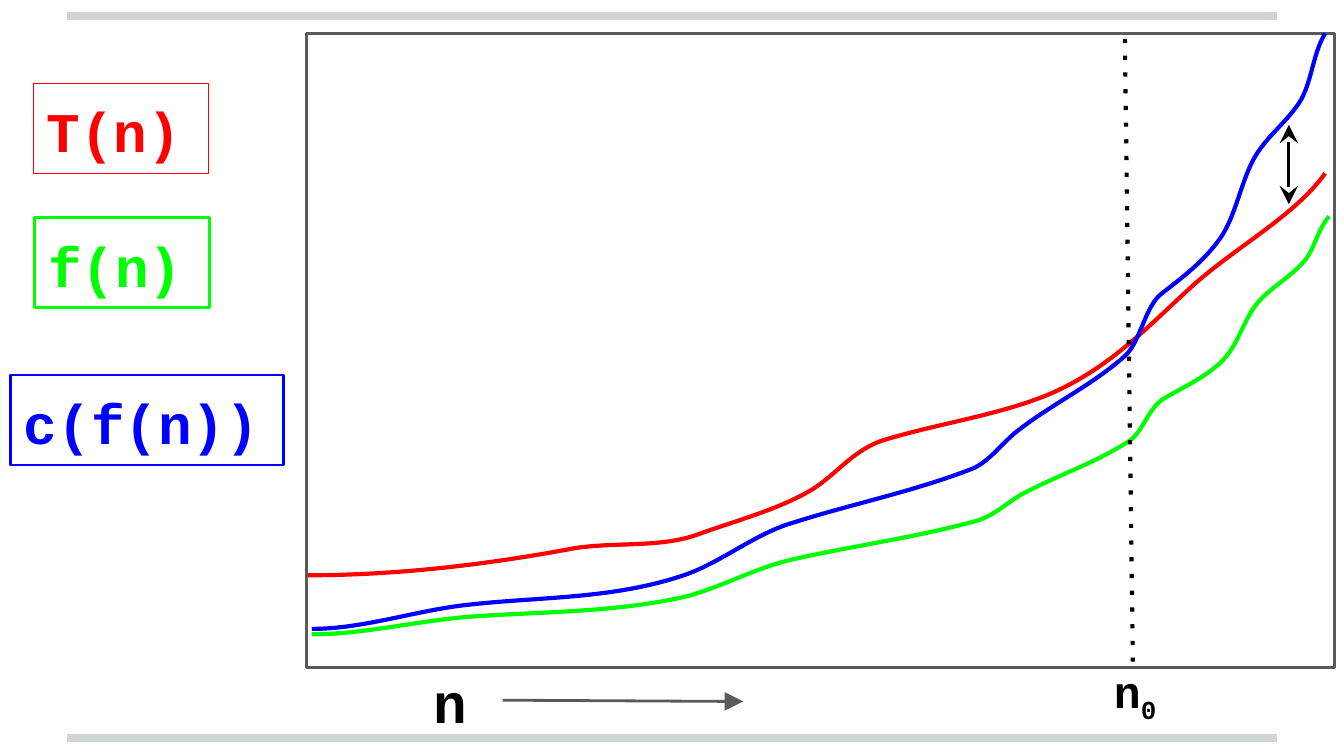
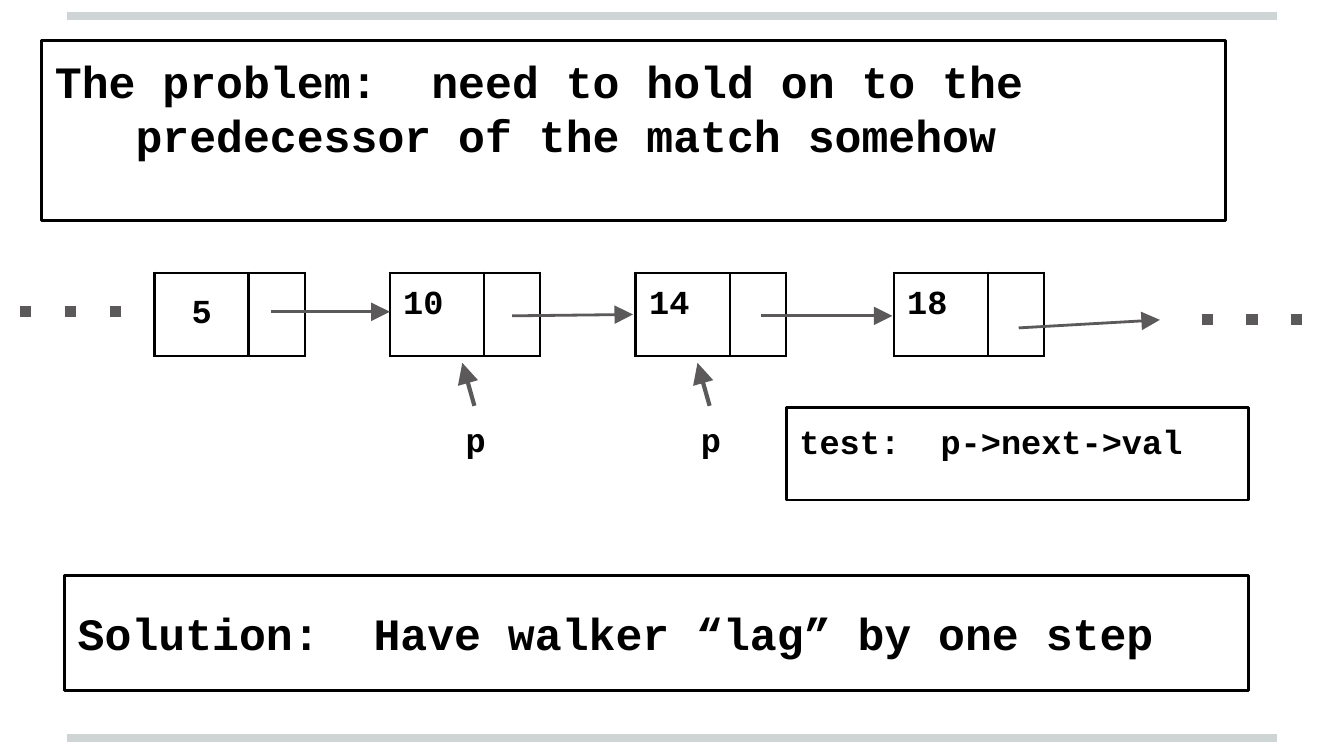
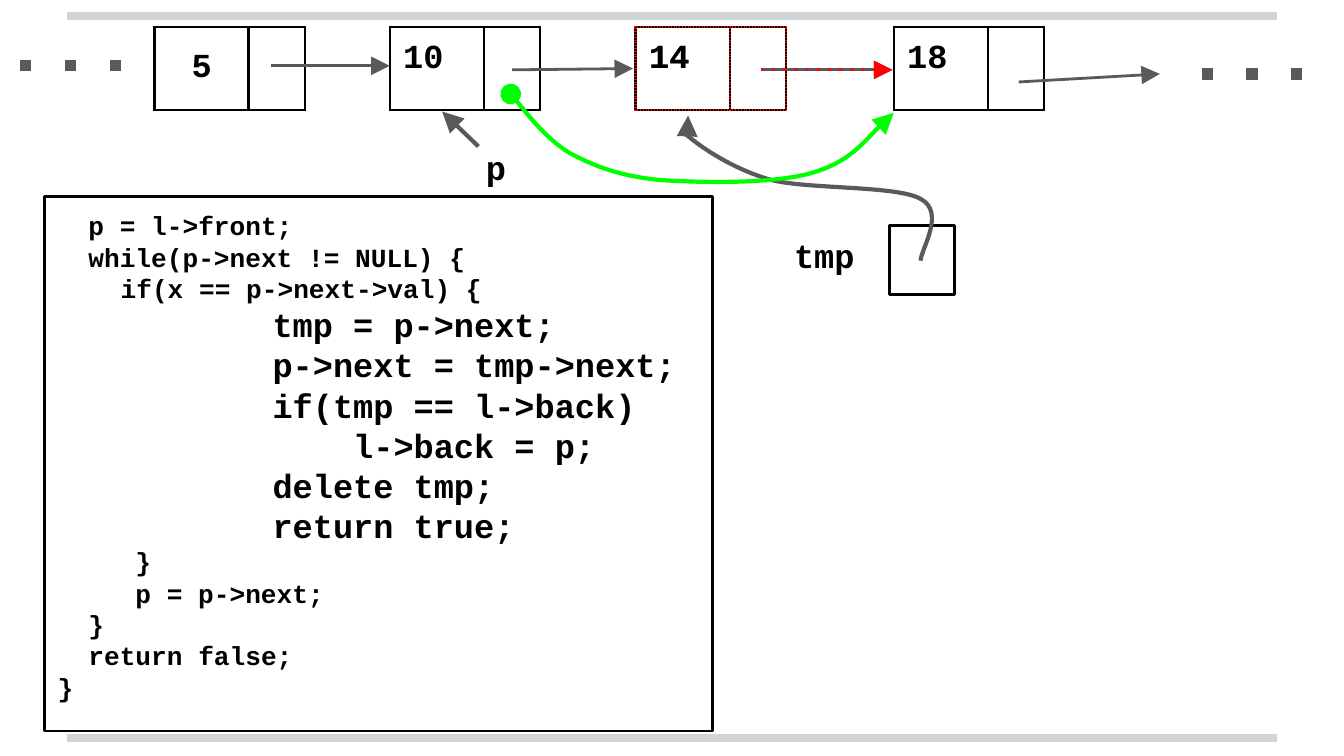
from lxml import etree
from pptx import Presentation
from pptx.dml.color import RGBColor
from pptx.enum.shapes import MSO_CONNECTOR, MSO_SHAPE
from pptx.enum.text import MSO_ANCHOR, PP_ALIGN
from pptx.oxml.ns import qn
from pptx.util import Pt

PX = 9144  # EMU per px, 100 px to the inch
SLIDE_WIDTH = 1000
INSET = 10

BLACK = RGBColor(0x00, 0x00, 0x00)
GRAY = RGBColor(0x5B, 0x59, 0x5A)
BAND = RGBColor(0xCF, 0xD4, 0xD4)
RED = RGBColor(0xFF, 0x00, 0x00)
GREEN = RGBColor(0x00, 0xFF, 0x00)
BLUE = RGBColor(0x00, 0x00, 0xFF)

FONT = "Courier New"
STRAIGHT = MSO_CONNECTOR.STRAIGHT
RECTANGLE = MSO_SHAPE.RECTANGLE
TOP, MIDDLE = MSO_ANCHOR.TOP, MSO_ANCHOR.MIDDLE
LEFT, CENTER = PP_ALIGN.LEFT, PP_ALIGN.CENTER

# Curves as a start point followed by three points per cubic segment, from the plot corner
T_CURVE = [
    (1, 403), (68, 403), (135, 395), (199, 383), (230, 378), (265, 383), (293, 372),
    (321, 362), (351, 354), (375, 340), (395, 328), (407, 309), (431, 302),
    (471, 290), (514, 284), (551, 269), (597, 250), (627, 217), (659, 188),
    (691, 159), (735, 136), (758, 104)]
F_CURVE = [
    (4, 447), (43, 447), (82, 437), (121, 434), (175, 430), (229, 431), (282, 419),
    (309, 412), (335, 397), (363, 391), (408, 381), (453, 375), (497, 363),
    (510, 360), (520, 350), (532, 343), (558, 329), (586, 320), (611, 304),
    (623, 297), (626, 278), (639, 271), (653, 263), (668, 256), (680, 245),
    (692, 234), (696, 217), (705, 204), (714, 191), (730, 183), (741, 171),
    (750, 162), (752, 146), (761, 136)]
CF_CURVE = [
    (4, 443), (43, 443), (82, 429), (121, 425), (174, 419), (228, 421), (281, 403),
    (308, 394), (334, 372), (362, 364), (406, 350), (451, 341), (495, 324),
    (508, 319), (518, 304), (530, 295), (556, 275), (584, 262), (609, 240),
    (621, 229), (624, 202), (637, 193), (651, 182), (666, 171), (678, 155),
    (690, 140), (694, 116), (703, 97), (712, 78), (728, 68), (739, 51),
    (748, 37), (749, 14), (758, 0)]

# Linked list, from its left end
NODES = [(100, "5"), (275, "10"), (458, "14"), (650, "18")]
NODE_COLUMNS, NODE_HEIGHT = (70, 42), 62
LINKS = [((187, 29), (275, 29)), ((366, 32), (456, 31)),
         ((551, 32), (649, 32)), ((743, 41), (848, 35))]
ELLIPSES = [((879, 35), (957, 35)), ((0, 29), (79, 29))]
REMOVED = 2  # index of the node that is deleted

# Code lines as indent, size and text
CODE = [
    (23, 14, "p = l->front;"),
    (23, 14, "while(p->next != NULL) {"),
    (47, 14, "if(x == p->next->val) {"),
    (160, 18, "tmp = p->next;"),
    (160, 18, "p->next = tmp->next;"),
    (160, 18, "if(tmp == l->back)"),
    (220, 18, "l->back = p;"),
    (160, 18, "delete tmp;"),
    (160, 18, "return true;"),
    (58, 14, "}"),
    (58, 14, "p = p->next;"),
    (23, 14, "}"),
    (23, 14, "return false;"),
    (0, 14, "}"),
]


def emu(*lengths):
    return [length * PX for length in lengths]


def shifted(points, left, top):
    return [(left + x, top + y) for x, y in points]


def style_line(line, color, width, dash=None, head=None, tail=None):
    line.color.rgb = color
    line.width = Pt(width)
    line_xml = line._get_or_add_ln()
    if dash:
        etree.SubElement(line_xml, qn("a:prstDash")).set("val", dash)
    for tag, kind in (("a:headEnd", head), ("a:tailEnd", tail)):
        if kind:
            end = etree.SubElement(line_xml, qn(tag))
            for name, value in (("type", kind), ("w", "lg"), ("len", "lg")):
                end.set(name, value)


def add_line(slide, start, end, color, width, **ends):
    connector = slide.shapes.add_connector(STRAIGHT, *emu(*start, *end))
    style_line(connector.line, color, width, **ends)
    etree.SubElement(connector.element.spPr, qn("a:effectLst"))


def add_curve(slide, points, color, **ends):
    builder = slide.shapes.build_freeform(*points[0], scale=PX)
    builder.add_line_segments(points[1:], close=False)
    shape = builder.convert_to_shape()
    shape.shadow.inherit = False
    shape.fill.background()
    style_line(shape.line, color, 2.25, **ends)
    # Join each three straight segments into one cubic segment
    outline = shape.element.find(".//" + qn("a:path"))
    segments = outline.findall(qn("a:lnTo"))
    for first in range(0, len(segments), 3):
        cubic = etree.SubElement(outline, qn("a:cubicBezTo"))
        for segment in segments[first:first + 3]:
            cubic.append(segment[0])
            outline.remove(segment)


def format_paragraph(paragraph, size, color=BLACK, align=LEFT, indent=0):
    paragraph.alignment = align
    if indent:
        paragraph._p.get_or_add_pPr().set("marL", str(indent * PX))
    for run in paragraph.runs:
        run.font.name = FONT
        run.font.size = Pt(size)
        run.font.bold = True
        run.font.color.rgb = color


def fill_text(shape, lines, color=BLACK, align=LEFT, anchor=TOP):
    """Write lines of (indent, size, text), one paragraph each."""
    text_frame = shape.text_frame
    text_frame.word_wrap = True
    text_frame.vertical_anchor = anchor
    text_frame.margin_left = text_frame.margin_right = INSET * PX
    text_frame.margin_top = text_frame.margin_bottom = INSET * PX
    text_frame.text = "\n".join(text for _, _, text in lines)
    for paragraph, (indent, size, _) in zip(text_frame.paragraphs, lines):
        format_paragraph(paragraph, size, color, align, indent)


def add_label(slide, box, text, size, align=LEFT):
    label = slide.shapes.add_textbox(*emu(*box))
    fill_text(label, [(0, size, text)], align=align)
    return label


def add_frame(slide, box, lines=(), color=BLACK, width=1.5, anchor=TOP):
    frame = slide.shapes.add_shape(RECTANGLE, *emu(*box))
    frame.shadow.inherit = False
    frame.fill.background()
    style_line(frame.line, color, width)
    if lines:
        fill_text(frame, lines, color, anchor=anchor)


def add_node(slide, left, top, value, color=BLACK, dash="solid"):
    """One list node: a value cell and an empty link cell."""
    box = emu(left, top, sum(NODE_COLUMNS), NODE_HEIGHT)
    table = slide.shapes.add_table(1, 2, *box).table
    table.first_row = table.horz_banding = False
    for column, width in zip(table.columns, NODE_COLUMNS):
        column.width = width * PX
    for cell in table.iter_cells():
        cell.fill.background()
        cell.margin_left = cell.margin_right = INSET * PX
        cell.margin_top = cell.margin_bottom = INSET * PX
        properties = cell._tc.get_or_add_tcPr()
        for position, side in enumerate(("a:lnL", "a:lnR", "a:lnT", "a:lnB")):
            border = etree.Element(qn(side), w=str(Pt(1.5)))
            fill = etree.SubElement(border, qn("a:solidFill"))
            etree.SubElement(fill, qn("a:srgbClr")).set("val", str(color))
            etree.SubElement(border, qn("a:prstDash")).set("val", dash)
            properties.insert(position, border)
    cell = table.cell(0, 0)
    cell.text_frame.text = value
    single_digit = len(value) == 1
    cell.vertical_anchor = MIDDLE if single_digit else TOP
    format_paragraph(cell.text_frame.paragraphs[0], 18, align=CENTER if single_digit else LEFT)


def add_linked_list(slide, left, top):
    for offset, value in NODES:
        add_node(slide, left + offset, top, value)
    for link in LINKS:
        add_line(slide, *shifted(link, left, top), GRAY, 1.5, tail="triangle")
    for dots in ELLIPSES:
        add_line(slide, *shifted(dots, left, top), GRAY, 6, dash="dot")


def add_removed_node(slide, left, top):
    offset, value = NODES[REMOVED]
    add_node(slide, left + offset, top, value, RED, "dot")
    add_line(slide, *shifted(LINKS[REMOVED], left, top), RED, 1.5, dash="dot", tail="triangle")


def add_pointer(slide, left, top, arrow):
    add_line(slide, *shifted(arrow, left, top), GRAY, 2.25, tail="triangle")
    add_label(slide, (left, top, 56, 51), "p", 18, CENTER)


def add_bypass(slide, left, top):
    """Pointer tmp and the new link around the removed node."""
    add_label(slide, (left + 201, top + 95, 79, 51), "tmp", 18)
    add_frame(slide, (left + 282, top + 98, 48, 51))
    tmp_link = [(305, 124), (305, 116), (324, 88), (305, 78), (287, 68), (223, 71), (194, 64),
                (166, 56), (144, 41), (134, 33), (124, 25), (133, 19), (132, 16)]
    add_curve(slide, shifted(tmp_link, left, top), GRAY, tail="triangle")
    new_link = [(0, 0), (7, 8), (26, 33), (44, 44), (63, 54), (81, 61), (111, 64),
                (141, 66), (194, 67), (223, 59), (252, 51), (275, 22), (285, 14)]
    add_curve(slide, shifted(new_link, left, top), GREEN, head="oval", tail="triangle")


def add_plot(slide, left, top, width, height):
    add_frame(slide, (left, top, width, height), color=GRAY)
    for curve, color in ((T_CURVE, RED), (F_CURVE, GREEN), (CF_CURVE, BLUE)):
        add_curve(slide, shifted(curve, left, top), color)
    # Axis label and direction
    below = top + height
    add_label(slide, (left + 85, below - 10, 97, 52), "n", 30)
    add_line(slide, (left + 146, below + 24), (left + 325, below + 25), GRAY, 1.5, tail="triangle")
    # Threshold and the gap beyond it
    add_line(slide, *shifted([(609, 4), (615, 475)], left, top), BLACK, 2.25, dash="dot")
    add_line(slide, *shifted([(731, 68), (731, 127)], left, top), BLACK, 1.5,
             head="stealth", tail="stealth")
    threshold = add_label(slide, (left + 591, below - 13, 71, 67), "n", 24)
    paragraph = threshold.text_frame.paragraphs[0]
    subscript = paragraph.add_run()
    subscript.text = "0"
    format_paragraph(paragraph, 24)
    subscript.font._element.set("baseline", "-25000")


def add_legend(slide, left, top):
    entries = [("T(n)", RED, 17, 0, 130, 0.75), ("f(n)", GREEN, 18, 100, 130, 1.5),
               ("c(f(n))", BLUE, 0, 217, 203, 1.5)]
    for text, color, x, y, width, line_width in entries:
        add_frame(slide, (left + x, top + y, width, 67), [(0, 30, text)], color, line_width)


def new_slide(presentation):
    slide = presentation.slides.add_slide(presentation.slide_layouts[6])
    for y in (549, 12):
        add_line(slide, (50, y), (950, y), BAND, 4)
    return slide


def build_growth_slide(presentation):
    slide = new_slide(presentation)
    add_plot(slide, 228, 25, 765, 472)
    add_legend(slide, 8, 62)


def build_problem_slide(presentation):
    slide = new_slide(presentation)
    add_linked_list(slide, 15, 203)
    for left in (326, 501):
        add_pointer(slide, left, 302, [(27, 0), (18, -32)])
    add_frame(slide, (31, 30, 881, 134),
              [(0, 24, "The problem:  need to hold on to the"),
               (60, 24, "predecessor of the match somehow")])
    add_frame(slide, (48, 428, 881, 86),
              [(0, 24, "Solution:  Have walker “lag” by one step")], anchor=MIDDLE)
    add_frame(slide, (585, 303, 344, 69), [(0, 18, "test:  p->next->val")])


def build_deletion_slide(presentation):
    slide = new_slide(presentation)
    add_frame(slide, (33, 146, 497, 398), CODE)
    add_linked_list(slide, 15, 20)
    add_pointer(slide, 341, 99, [(15, 10), (-12, -16)])
    add_bypass(slide, 380, 70)
    add_removed_node(slide, 15, 20)


def main():
    presentation = Presentation()
    presentation.slide_width = SLIDE_WIDTH * PX
    presentation.slide_height = presentation.slide_width * 9 // 16
    build_growth_slide(presentation)
    build_problem_slide(presentation)
    build_deletion_slide(presentation)
    presentation.save("out.pptx")


if __name__ == "__main__":
    main()
